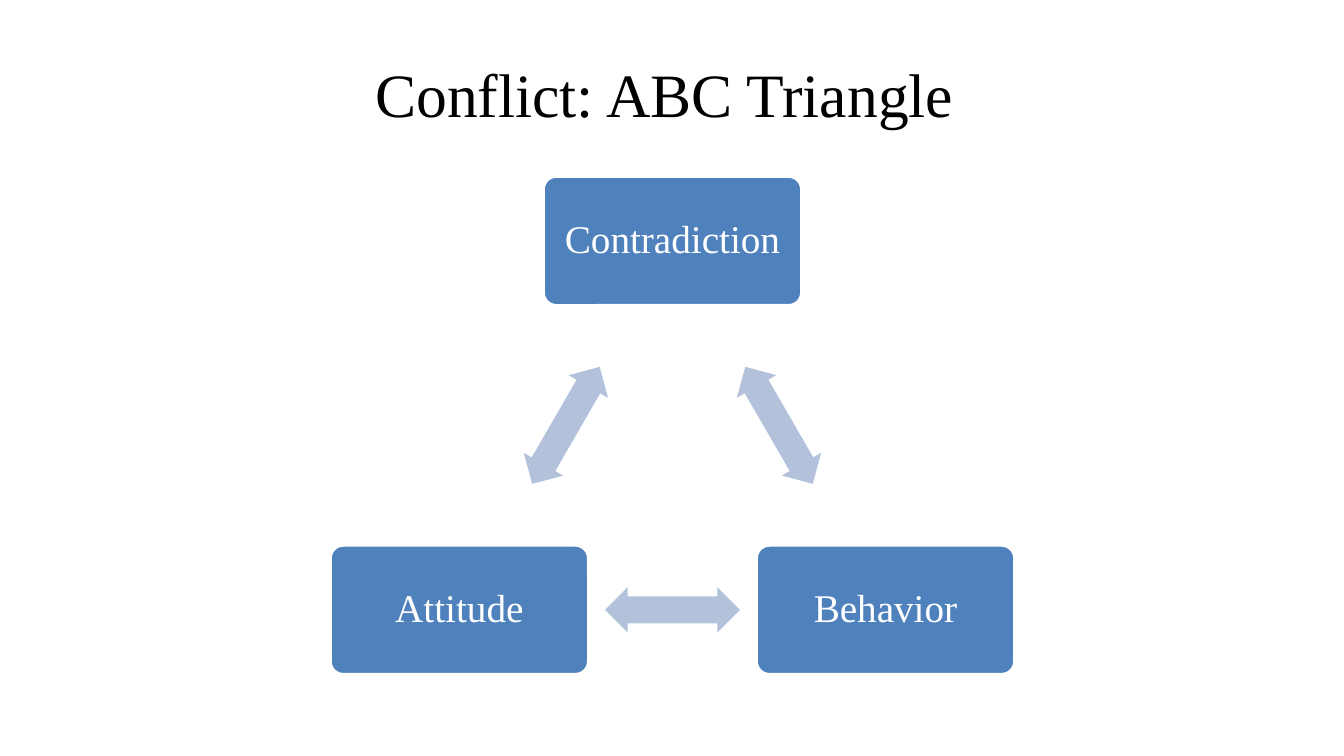
from dataclasses import dataclass
from math import cos, radians, sin

from pptx import Presentation
from pptx.dml.color import RGBColor
from pptx.enum.shapes import MSO_SHAPE
from pptx.enum.text import MSO_ANCHOR, PP_ALIGN
from pptx.shapes.autoshape import Shape
from pptx.slide import Slide
from pptx.text.text import TextFrame
from pptx.util import Inches, Pt


@dataclass(frozen=True)
class Theme:
    """Colours, font and type sizes of the slide."""
    white: RGBColor = RGBColor(0xFF, 0xFF, 0xFF)
    black: RGBColor = RGBColor(0, 0, 0)
    box: RGBColor = RGBColor(0x4F, 0x81, 0xBD)
    arrow: RGBColor = RGBColor(0xB3, 0xC1, 0xDB)
    font: str = "Times New Roman"
    title_size: Pt = Pt(44)
    box_size: Pt = Pt(28)


@dataclass(frozen=True)
class Corner:
    """A labelled corner of the triangle, placed by its angle in degrees."""
    label: str
    angle: float

    def position(self) -> tuple[float, float]:
        """Return the centre of the corner in inches."""
        turn = radians(self.angle)
        return CENTER_X + RADIUS * cos(turn), CENTER_Y + RADIUS * sin(turn)


THEME = Theme()
CENTER_X, CENTER_Y, RADIUS = 6.67, 4.83, 2.44
BOX_SIZE = (2.56, 1.28)
ARROW_SIZE = (1.34, 0.45)
CORNERS = [Corner("Contradiction", -90), Corner("Behavior", 30), Corner("Attitude", 150)]


def write_text(frame: TextFrame, text: str, size: Pt, color: RGBColor) -> None:
    """Write one centred line in the theme font."""
    frame.text = text
    frame.word_wrap = True
    frame.vertical_anchor = MSO_ANCHOR.MIDDLE
    paragraph = frame.paragraphs[0]
    paragraph.alignment = PP_ALIGN.CENTER
    font = paragraph.runs[0].font
    font.name, font.size, font.color.rgb = THEME.font, size, color


def add_centered(slide: Slide, kind: MSO_SHAPE, center: tuple[float, float],
                 size: tuple[float, float], fill: RGBColor) -> Shape:
    """Add a flat, filled shape around a centre point."""
    (x, y), (width, height) = center, size
    shape = slide.shapes.add_shape(kind, Inches(x - width / 2), Inches(y - height / 2),
                                   Inches(width), Inches(height))
    shape.shadow.inherit = False
    shape.fill.solid()
    shape.fill.fore_color.rgb = fill
    return shape


def add_box(slide: Slide, corner: Corner) -> None:
    """Add the rounded box of one corner."""
    box = add_centered(slide, MSO_SHAPE.ROUNDED_RECTANGLE, corner.position(), BOX_SIZE, THEME.box)
    box.adjustments[0] = 0.1
    box.line.color.rgb = THEME.white
    box.line.width = Pt(2)
    frame = box.text_frame
    frame.margin_left = frame.margin_right = Inches(0.12)
    frame.margin_top = frame.margin_bottom = Inches(0.12)
    write_text(frame, corner.label, THEME.box_size, THEME.white)
    frame.paragraphs[0].line_spacing = 0.9


def add_arrow(slide: Slide, start: Corner, end: Corner) -> None:
    """Add a two-headed arrow midway along one side of the triangle."""
    (x1, y1), (x2, y2) = start.position(), end.position()
    middle = (x1 + x2) / 2, (y1 + y2) / 2
    arrow = add_centered(slide, MSO_SHAPE.LEFT_RIGHT_ARROW, middle, ARROW_SIZE, THEME.arrow)
    arrow.adjustments[0], arrow.adjustments[1] = 0.6, 0.5
    arrow.rotation = start.angle + 150
    arrow.line.fill.background()


def main() -> None:
    """Build and save the slide."""
    presentation = Presentation()
    presentation.slide_width, presentation.slide_height = Inches(13.33), Inches(7.5)
    slide = presentation.slides.add_slide(presentation.slide_layouts.get_by_name("Title Only"))
    title = slide.shapes.title
    title.left, title.top = Inches(0.67), Inches(0.3)
    title.width, title.height = Inches(12), Inches(1.25)
    write_text(title.text_frame, "Conflict: ABC Triangle ", THEME.title_size, THEME.black)

    for corner, following in zip(CORNERS, CORNERS[1:] + CORNERS[:1]):
        add_box(slide, corner)
        add_arrow(slide, corner, following)
    presentation.save("out.pptx")


main()
